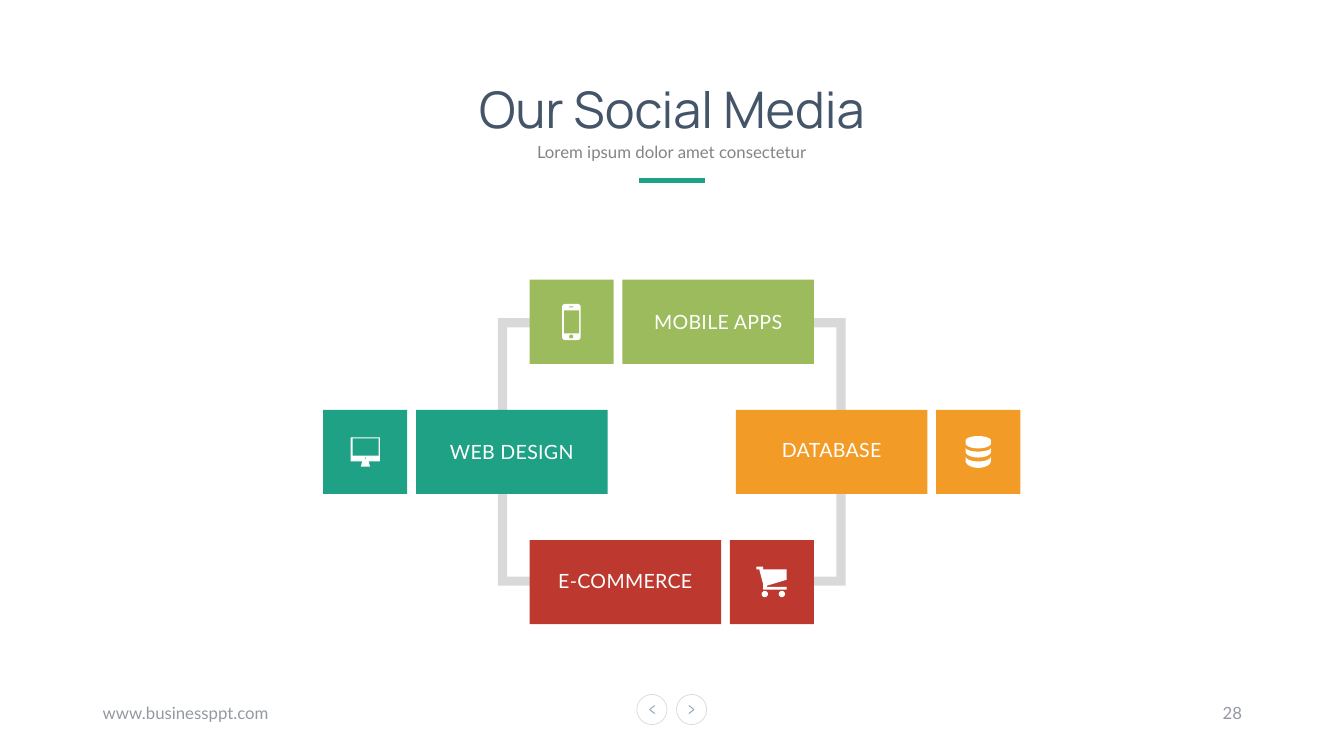
"""Build the "Our Social Media" slide: four linked tiles around a frame."""
import math

import pptx
import pptx.dml.color
import pptx.enum.shapes
import pptx.enum.text
import pptx.oxml.ns
import pptx.util
from lxml import etree

Cm = pptx.util.Cm
Pt = pptx.util.Pt
SHAPES = pptx.enum.shapes.MSO_SHAPE
ALIGN = pptx.enum.text.PP_ALIGN
ANCHOR = pptx.enum.text.MSO_ANCHOR

COLORS = {
    "title": "445469", "subtitle": "848484", "footer": "9499A1", "chevron": "99A8BD",
    "gray": "D9D9D9", "white": "FFFFFF",
    "teal": "1EA185", "orange": "F29B26", "red": "BD392F", "green": "9BBB5C",
}
TITLE = "Our Social Media"
TEXTS = [
    ("Lorem ipsum dolor amet consectetur", (10.94, 3.25, 11.98, 0.97), ALIGN.CENTER, "subtitle", 1.4),
    ("www.businessppt.com", (2.34, 17.45, 11.43, 1.02), ALIGN.LEFT, "footer", 1.0),
    ("28", (23.93, 17.45, 7.62, 1.02), ALIGN.RIGHT, "footer", 1.0),
]
TILES = [
    ("WEB DESIGN", "teal", -1, 0, "left", "monitor"),
    ("DATABASE", "orange", 1, 0, "right", "database"),
    ("E-COMMERCE", "red", 0, 1, "right", "cart"),
    ("MOBILE APPS", "green", 0, -1, "left", "phone"),
]
ICON_PARTS = {
    "phone": [
        (SHAPES.ROUNDED_RECTANGLE, (-0.24, -0.45, 0.47, 0.91), "white"),
        (SHAPES.RECTANGLE, (-0.19, -0.29, 0.38, 0.58), "green"),
        (SHAPES.OVAL, (-0.06, 0.32, 0.1, 0.1), "green"),
        (SHAPES.RECTANGLE, (-0.06, -0.39, 0.1, 0.03), "green"),
    ],
    "monitor": [
        (SHAPES.RECTANGLE, (-0.37, -0.37, 0.74, 0.61), "white"),
        (SHAPES.RECTANGLE, (-0.32, -0.34, 0.66, 0.43), "teal"),
        (SHAPES.TRAPEZOID, (-0.11, 0.23, 0.23, 0.14), "white"),
        (SHAPES.OVAL, (-0.01, 0.14, 0.03, 0.03), "teal"),
    ],
    "cart": [
        (SHAPES.OVAL, (-0.26, 0.22, 0.16, 0.16), "white"),
        (SHAPES.OVAL, (0.17, 0.22, 0.16, 0.16), "white"),
    ],
    "database": [],
}
CART_BODY = [
    (-0.39, -0.39), (-0.22, -0.39), (-0.22, -0.32), (0.37, -0.32), (0.37, -0.06),
    (-0.13, 0.09), (-0.13, 0.12), (0.37, 0.12), (0.37, 0.19), (-0.22, 0.19),
    (-0.22, 0.06), (-0.32, -0.32), (-0.39, -0.32),
]
DISKS = [(-0.29, -0.11, -0.22, 0.13), (-0.11, 0.1, -0.01, 0.15), (0.11, 0.13, 0.22, 0.18)]
DISK_RADIUS = 0.32

CENTER_X, CENTER_Y = 16.93, 11.39
COLUMN_STEP, ROW_STEP = 5.2, 3.28
TILE_HEIGHT, LABEL_WIDTH, TILE_GAP = 2.12, 4.83, 0.22
FRAME_X, FRAME_Y, FRAME_END, FRAME_THICKNESS = 4.38, 3.37, 2.5, 0.23
BUTTON_Y, BUTTON_SIZE, BUTTON_STEP = 17.88, 0.76, 0.5


def color(name):
    return pptx.dml.color.RGBColor.from_string(COLORS[name])


def add_shape(slide, kind, box, fill=None):
    shape = slide.shapes.add_shape(kind, *map(Cm, box))
    shape.shadow.inherit = False
    shape.line.fill.background()
    if fill:
        shape.fill.solid()
        shape.fill.fore_color.rgb = color(fill)
    else:
        shape.fill.background()
    return shape


def add_outline(slide, contours, fill, x, y):
    contours = [[(Cm(x + dx), Cm(y + dy)) for dx, dy in contour] for contour in contours]
    builder = slide.shapes.build_freeform(*contours[0][0])
    for index, contour in enumerate(contours):
        if index:
            builder.move_to(*contour[0])
        builder.add_line_segments(contour[1:], close=True)
    shape = builder.convert_to_shape()
    shape.shadow.inherit = False
    shape.fill.solid()
    shape.fill.fore_color.rgb = color(fill)
    shape.line.fill.background()


def add_line(slide, start, end, name, width):
    line = slide.shapes.add_connector(
        pptx.enum.shapes.MSO_CONNECTOR.STRAIGHT, *map(Cm, start + end))
    line.line.color.rgb = color(name)
    line.line.width = Pt(width)
    etree.SubElement(line._element.spPr, pptx.oxml.ns.qn("a:effectLst"))


def write(shape, text, align, font_name, size, name, spacing=1.0):
    frame = shape.text_frame
    frame.text = text
    frame.word_wrap = True
    frame.vertical_anchor = ANCHOR.MIDDLE
    paragraph = frame.paragraphs[0]
    paragraph.alignment = align
    paragraph.line_spacing = spacing
    font = paragraph.runs[0].font
    font.name, font.size = font_name, Pt(size)
    font.color.rgb = color(name)
    return paragraph


def disk(top, top_sag, bottom, bottom_sag):
    angles = [math.pi * step / 24 for step in range(25)]
    upper = [(-DISK_RADIUS * math.cos(a), top + top_sag * math.sin(a)) for a in angles]
    lower = [(DISK_RADIUS * math.cos(a), bottom + bottom_sag * math.sin(a)) for a in angles]
    return upper + lower


def bracket(side):
    inner_x, inner_y = FRAME_X - FRAME_THICKNESS, FRAME_Y - FRAME_THICKNESS
    corners = [(FRAME_END, -FRAME_Y), (FRAME_X, -FRAME_Y), (FRAME_X, FRAME_Y),
               (FRAME_END, FRAME_Y), (FRAME_END, inner_y), (inner_x, inner_y),
               (inner_x, -inner_y), (FRAME_END, -inner_y)]
    return [(side * x, y) for x, y in corners]


def add_tile(slide, text, fill, column, row, icon_side, icon):
    left = CENTER_X + column * COLUMN_STEP - (TILE_HEIGHT + TILE_GAP + LABEL_WIDTH) / 2
    middle = CENTER_Y + row * ROW_STEP
    top = middle - TILE_HEIGHT / 2
    if icon_side == "left":
        icon_left, label_left = left, left + TILE_HEIGHT + TILE_GAP
    else:
        icon_left, label_left = left + LABEL_WIDTH + TILE_GAP, left
    add_shape(slide, SHAPES.RECTANGLE, (icon_left, top, TILE_HEIGHT, TILE_HEIGHT), fill)
    label = add_shape(slide, SHAPES.RECTANGLE, (label_left, top, LABEL_WIDTH, TILE_HEIGHT), fill)
    spacing = 1.0 if icon_side == "left" else Pt(14)
    paragraph = write(label, text, ALIGN.CENTER, "Lato", 14, "white", spacing)
    paragraph.runs[0].font._element.set("spc", "20")

    x = icon_left + TILE_HEIGHT / 2
    for kind, (dx, dy, width, height), part_fill in ICON_PARTS[icon]:
        add_shape(slide, kind, (x + dx, middle + dy, width, height), part_fill)
    if icon == "cart":
        add_outline(slide, [CART_BODY], "white", x, middle)
    elif icon == "database":
        add_outline(slide, [disk(*band) for band in DISKS], "white", x, middle)


def add_button(slide, side):
    x = CENTER_X + side * BUTTON_STEP
    half = BUTTON_SIZE / 2
    circle = add_shape(slide, SHAPES.OVAL, (x - half, BUTTON_Y - half, BUTTON_SIZE, BUTTON_SIZE))
    circle.line.color.rgb = color("gray")
    circle.line.width = Pt(0.5)
    tip = x + side * 0.06
    for rise in (-0.1, 0.1):
        add_line(slide, (tip, BUTTON_Y), (tip - side * 0.13, BUTTON_Y + rise), "chevron", 0.75)


def main():
    presentation = pptx.Presentation()
    presentation.slide_width, presentation.slide_height = Cm(33.87), Cm(19.05)
    slide = presentation.slides.add_slide(presentation.slide_layouts[5])

    title = slide.shapes.title
    title.left, title.top, title.width, title.height = map(Cm, (8.78, 1.83, 16.31, 1.8))
    write(title, TITLE, ALIGN.CENTER, "Manrope", 36, "title")
    for text, box, align, name, spacing in TEXTS:
        write(slide.shapes.add_textbox(*map(Cm, box)), text, align, "Lato", 12, name, spacing)
    add_line(slide, (16.1, 4.55), (17.76, 4.55), "teal", 3)

    add_outline(slide, [bracket(1), bracket(-1)], "gray", CENTER_X, CENTER_Y)
    for tile in TILES:
        add_tile(slide, *tile)
    for side in (-1, 1):
        add_button(slide, side)
    presentation.save("out.pptx")


if __name__ == "__main__":
    main()
